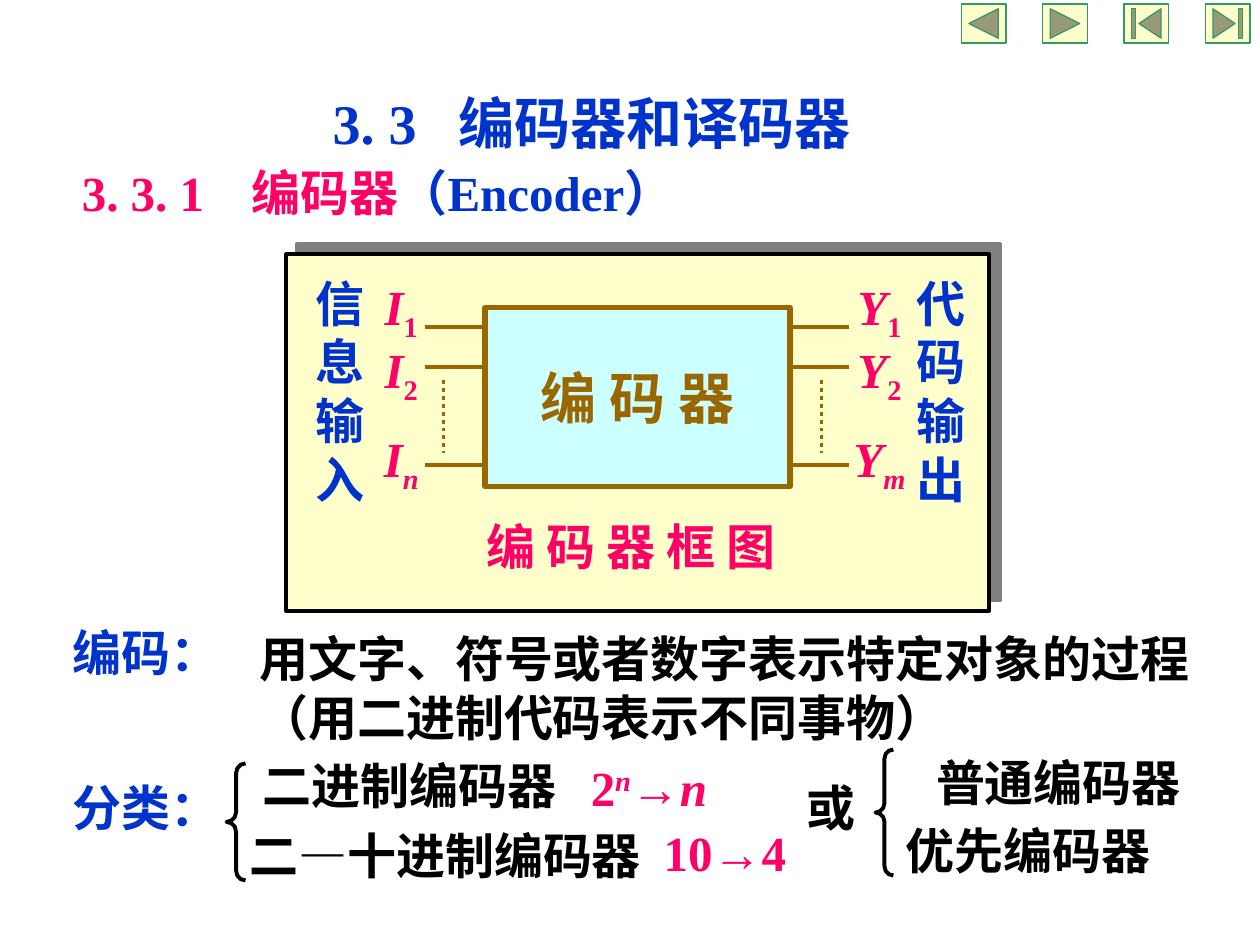
from lxml.etree import SubElement
from pptx import Presentation
from pptx.dml.color import RGBColor
from pptx.enum.dml import MSO_LINE
from pptx.enum.shapes import MSO_CONNECTOR, MSO_SHAPE
from pptx.enum.text import MSO_ANCHOR, MSO_AUTO_SIZE, PP_ALIGN
from pptx.oxml.ns import qn
from pptx.util import Cm, Pt

BLUE, PINK, BLACK, BROWN = "0033CC", "FF0066", "000000", "996600"
CREAM, CYAN, GREEN = "FFFFCC", "CCFFFF", "339966"
SERIF, SANS = "Times New Roman", "Noto Sans CJK SC"


def write(shape, spans, size=28, align=PP_ALIGN.LEFT, font=SERIF, tab=None):
    """Fill a shape with one paragraph; a span is (text, colour, italic, baseline)."""
    frame = shape.text_frame
    frame.word_wrap = True
    frame.auto_size = MSO_AUTO_SIZE.NONE
    frame.vertical_anchor = MSO_ANCHOR.TOP
    para = frame.paragraphs[0]
    para.alignment = align
    if tab:
        stops = SubElement(para._p.get_or_add_pPr(), qn("a:tabLst"))
        SubElement(stops, qn("a:tab"), pos=str(Cm(tab)), algn="l")
    for text, colour, italic, baseline in spans:
        span = para.add_run()
        span.text = text
        span.font.name = font
        span.font.size = Pt(size)
        span.font.bold = True
        span.font.italic = italic
        span.font.color.rgb = RGBColor.from_string(colour)
        properties = span._r.get_or_add_rPr()
        SubElement(properties, qn("a:ea"), typeface=SANS)
        if baseline:
            properties.set("baseline", str(baseline * 1000))


def add_preset(kind, left, top, width, height, fill, line, weight):
    shape = page.shapes.add_shape(kind, Cm(left), Cm(top), Cm(width), Cm(height))
    shape.shadow.inherit = False
    if fill:
        shape.fill.solid()
        shape.fill.fore_color.rgb = RGBColor.from_string(fill)
    else:
        shape.fill.background()
    shape.line.color.rgb = RGBColor.from_string(line)
    shape.line.width = Pt(weight)
    return shape


deck = Presentation()
deck.slide_width, deck.slide_height = Cm(25.4), Cm(19.05)
page = deck.slides.add_slide(deck.slide_layouts[5])

# Headings
title = page.shapes.title
title.left, title.top, title.width, title.height = Cm(6.45), Cm(1.65), Cm(15.09), Cm(1.63)
write(title, [("3. 3\t编码器和译码器", BLUE, False, 0)], size=32, tab=2.54)
subtitle = page.shapes.add_textbox(Cm(1.4), Cm(3.15), Cm(19), Cm(1.45))
write(subtitle, [("3. 3. 1\t编码器", PINK, False, 0), ("（Encoder）", BLUE, False, 0)], tab=3.43)

# Definition and classification
for text, colour, font, left, top, width, height in [
    ("编码：", BLUE, SANS, 1.22, 12.42, 4.45, 1.45),
    ("用文字、符号或者数字表示特定对象的过程（用二进制代码表示不同事物）",
     BLACK, SANS, 4.98, 12.55, 20.2, 2.64),
    ("分类：", BLUE, SANS, 1.22, 15.54, 4.57, 1.45),
    ("二进制编码器", BLACK, SANS, 5.05, 15.11, 7.95, 1.45),
    ("二—十进制编码器", BLACK, SANS, 4.78, 16.51, 9.78, 1.45),
    ("10→4", PINK, SERIF, 13.13, 16.46, 5.28, 1.45),
    ("或", BLACK, SERIF, 16, 15.54, 1.96, 1.45),
    ("普通编码器", BLACK, SANS, 18.62, 15.04, 6.73, 1.45),
    ("优先编码器", BLACK, SANS, 18.01, 16.41, 6.45, 1.45),
]:
    box = page.shapes.add_textbox(Cm(left), Cm(top), Cm(width), Cm(height))
    write(box, [(text, colour, False, 0)], font=font)

power = page.shapes.add_textbox(Cm(11.66), Cm(15.14), Cm(4.04), Cm(1.45))
write(power, [("2", PINK, False, 0), ("n", PINK, True, 30),
              ("→", PINK, False, 0), ("n", PINK, True, 0)])

for left, top, width, height in [(4.57, 15.39, 0.38, 2.36), (17.65, 15.11, 0.36, 2.54)]:
    brace = add_preset(MSO_SHAPE.LEFT_BRACE, left, top, width, height, None, BLACK, 2.25)
    brace.adjustments[0] = 0.52

# Block diagram
panel = add_preset(MSO_SHAPE.RECTANGLE, 5.77, 5.13, 14.17, 7.19, CREAM, BLACK, 2.25)
effects = panel._element.spPr.find(qn("a:effectLst"))
shadow = SubElement(effects, qn("a:outerShdw"), dist=str(Pt(8.5)), dir="18900000",
                    algn="ctr", rotWithShape="0")
SubElement(shadow, qn("a:srgbClr"), val="808080")

encoder = add_preset(MSO_SHAPE.RECTANGLE, 9.78, 6.2, 6.15, 3.61, CYAN, BROWN, 3)
write(encoder, [("编 码 器", BROWN, False, 0)], size=32, align=PP_ALIGN.CENTER)
encoder.text_frame.vertical_anchor = MSO_ANCHOR.MIDDLE

for text, colour, left, top, width, height in [
    ("信息输入", BLUE, 6.07, 5.38, 1.57, 5),
    ("代码输出", BLUE, 18.01, 5.38, 1.93, 5),
    ("编 码 器 框 图", PINK, 7.85, 10.29, 9.73, 1.45),
]:
    box = page.shapes.add_textbox(Cm(left), Cm(top), Cm(width), Cm(height))
    write(box, [(text, colour, False, 0)], align=PP_ALIGN.CENTER)

# Signals on each side: letter, last index, label place, wire ends, dotted line
wires = []
for letter, last, left, width, start, end, dots in [
    ("I", "n", 7.24, 1.7, 8.56, 9.78, 8.94),
    ("Y", "m", 16.56, 2.34, 15.93, 17.12, 16.56),
]:
    for index, top, level in [("1", 5.44, 6.6), ("2", 6.71, 7.39), (last, 8.51, 9.37)]:
        label = page.shapes.add_textbox(Cm(left), Cm(top), Cm(width), Cm(1.6))
        write(label, [(letter, PINK, True, 0), (index, PINK, index == last, -25)],
              align=PP_ALIGN.CENTER)
        wires.append((start, level, end, level, MSO_LINE.SOLID))
    wires.append((dots, 7.67, dots, 9.14, MSO_LINE.ROUND_DOT))

for start_x, start_y, end_x, end_y, dash in wires:
    wire = page.shapes.add_connector(MSO_CONNECTOR.STRAIGHT, Cm(start_x), Cm(start_y),
                                     Cm(end_x), Cm(end_y))
    wire.line.color.rgb = RGBColor.from_string(BROWN)
    wire.line.width = Pt(2.25)
    wire.line.dash_style = dash
    SubElement(wire._element.spPr, qn("a:effectLst"))

# Navigation buttons
for column, kind in enumerate([
    MSO_SHAPE.ACTION_BUTTON_BACK_OR_PREVIOUS,
    MSO_SHAPE.ACTION_BUTTON_FORWARD_OR_NEXT,
    MSO_SHAPE.ACTION_BUTTON_BEGINNING,
    MSO_SHAPE.ACTION_BUTTON_END,
]):
    add_preset(kind, 19.38 + 1.64 * column, 0.08, 0.9, 0.79, CREAM, GREEN, 0.75)

deck.save("out.pptx")
